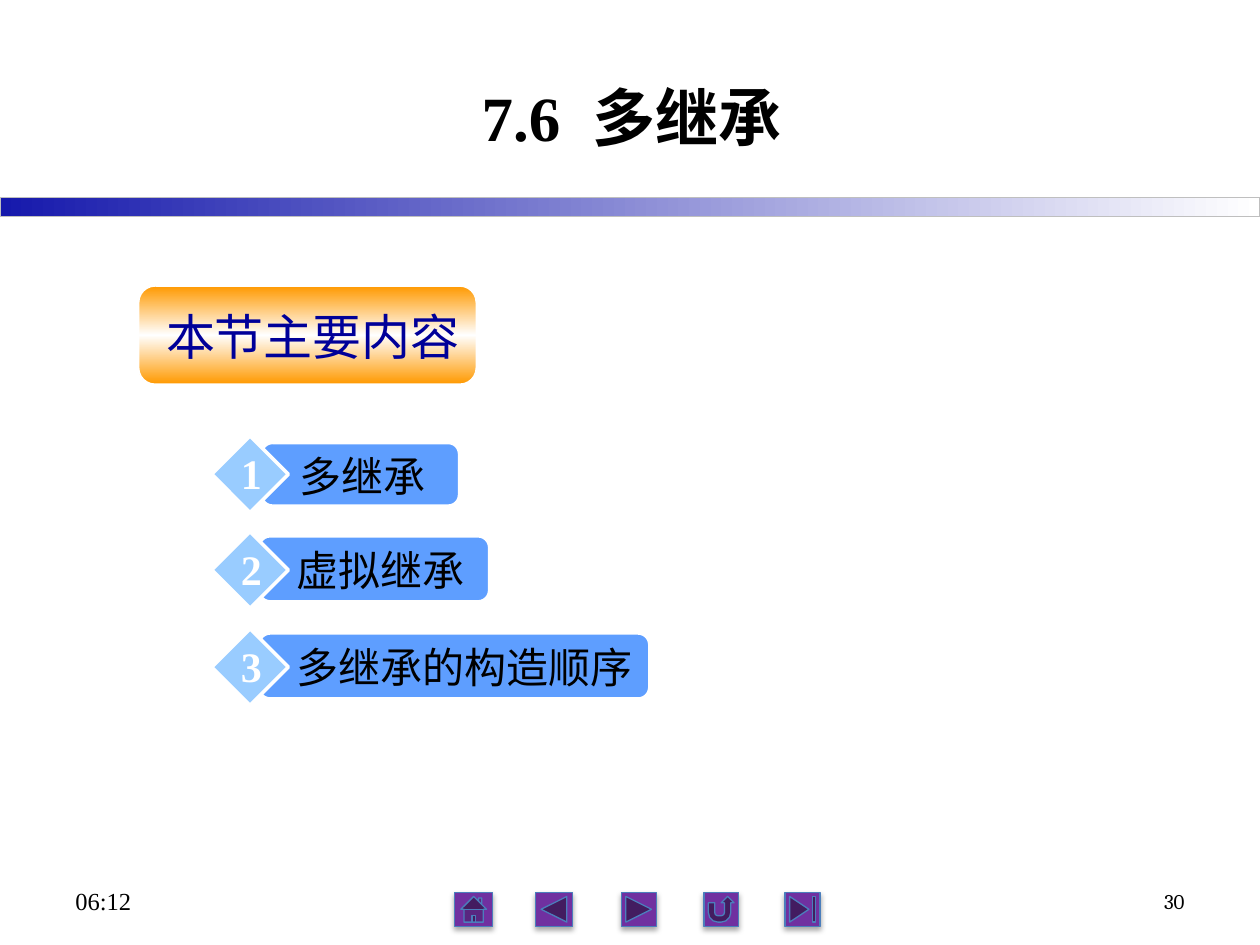
from copy import deepcopy
from dataclasses import dataclass

from lxml.etree import SubElement
from pptx import Presentation
from pptx.dml.color import RGBColor
from pptx.enum.shapes import MSO_SHAPE as Preset
from pptx.enum.text import MSO_ANCHOR as Anchor, PP_ALIGN as Align
from pptx.oxml.ns import qn
from pptx.util import Pt

SERIF = "Times New Roman"
CJK = "Noto Sans CJK SC"


@dataclass
class Topic:
    number: str
    title: str
    bar_left: float
    bar_top: float
    bar_width: float
    bar_height: float
    diamond_top: float


@dataclass
class NavButton:
    preset: Preset
    left: float
    width: float


TOPICS = [
    Topic("1", "多继承", 149.8, 253.4, 112.3, 35.3, 249.1),
    Topic("2", "虚拟继承", 148.3, 306.7, 131, 36.7, 303.8),
    Topic("3", "多继承的构造顺序", 148.3, 362.2, 222.5, 36.7, 359.3),
]
NAV_BUTTONS = [
    NavButton(Preset.ACTION_BUTTON_HOME, 259.9, 21.6),
    NavButton(Preset.ACTION_BUTTON_BACK_OR_PREVIOUS, 306, 21.2),
    NavButton(Preset.ACTION_BUTTON_FORWARD_OR_NEXT, 355, 20),
    NavButton(Preset.ACTION_BUTTON_RETURN, 402.2, 19.8),
    NavButton(Preset.ACTION_BUTTON_END, 448.6, 20),
]


def color(value: str) -> RGBColor:
    return RGBColor.from_string(value)


def add_span(para, text: str, size: float, font: str, ink: str = "000000", bold: bool = False):
    span = para.add_run()
    span.text = text
    span.font.size = Pt(size)
    span.font.name = font
    span.font.bold = bold
    span.font.color.rgb = color(ink)
    SubElement(span.font._element, qn("a:ea")).set("typeface", CJK)


def add_text(page, left: float, top: float, width: float, height: float, text: str,
             size: float, font: str = SERIF, ink: str = "000000", bold: bool = False,
             align=Align.LEFT, anchor=Anchor.TOP, wrap: bool = True):
    box = page.shapes.add_textbox(Pt(left), Pt(top), Pt(width), Pt(height))
    frame = box.text_frame
    frame.word_wrap = wrap
    frame.vertical_anchor = anchor
    para = frame.paragraphs[0]
    para.alignment = align
    add_span(para, text, size, font, ink, bold)


def add_box(page, preset, left: float, top: float, width: float, height: float,
            fills: list[str], line: str, weight: float, angle: float = 0):
    """Draw a preset shape; several fills make an evenly spaced gradient."""
    box = page.shapes.add_shape(preset, Pt(left), Pt(top), Pt(width), Pt(height))
    box.shadow.inherit = False
    box.line.color.rgb = color(line)
    box.line.width = Pt(weight)
    if len(fills) == 1:
        box.fill.solid()
        box.fill.fore_color.rgb = color(fills[0])
        return box
    box.fill.gradient()
    box.fill.gradient_angle = angle
    stop_list = box._element.spPr.find(qn("a:gradFill")).find(qn("a:gsLst"))
    for _ in fills[2:]:
        stop_list.append(deepcopy(stop_list[-1]))
    for index, (stop, value) in enumerate(zip(box.fill.gradient_stops, fills)):
        stop.color.rgb = color(value)
        stop.position = index / (len(fills) - 1)
    return box


def add_shadow(box):
    effects = box._element.spPr.find(qn("a:effectLst"))
    shadow = SubElement(effects, qn("a:outerShdw"), blurRad=str(Pt(3.1)),
                        dist=str(Pt(1.8)), dir="5400000", rotWithShape="0")
    shade = SubElement(shadow, qn("a:srgbClr"), val="000000")
    SubElement(shade, qn("a:alpha"), val="35000")


def add_topic(page, topic: Topic):
    add_box(page, Preset.ROUNDED_RECTANGLE, topic.bar_left, topic.bar_top,
            topic.bar_width, topic.bar_height, ["5E9EFF"], "FFFFFF", 1)
    add_box(page, Preset.DIAMOND, 121, topic.diamond_top, 43.8, 43.8,
            ["99CCFF"], "FFFFFF", 2)
    label_left = topic.bar_left + 14.2
    add_text(page, label_left, topic.bar_top + 0.7, topic.bar_width - 15, 36,
             topic.title, 24)
    add_text(page, 130.3, topic.diamond_top + 3, 26.6, 36, topic.number, 24,
             ink="FFFFFF", bold=True, align=Align.CENTER, wrap=False)


deck = Presentation()
deck.slide_width, deck.slide_height = Pt(720), Pt(540)
page = deck.slides.add_slide(deck.slide_layouts[5])

# Title and the band below it
title = page.shapes.title
title.left, title.top, title.width, title.height = Pt(80), Pt(21.6), Pt(561.6), Pt(90)
title.text_frame.vertical_anchor = Anchor.MIDDLE
heading = title.text_frame.paragraphs[0]
heading.alignment = Align.CENTER
add_span(heading, "7.6  ", 36, SERIF, bold=True)
add_span(heading, "多继承", 36, CJK, bold=True)
add_box(page, Preset.RECTANGLE, 0, 113, 720, 10.8, ["1619AC", "FFFFFF"], "BFBFBF", 0.75)

# Section banner
add_box(page, Preset.ROUNDED_RECTANGLE, 79.2, 163.4, 193, 56.2,
        ["FF9900", "FFFFFF", "FF9900"], "FFFFFF", 1, angle=90)
add_text(page, 87.8, 171.4, 184.4, 41, "本节主要内容", 28, "Arial", "000099")

# Numbered topics
for topic in TOPICS:
    add_topic(page, topic)

# Footer: time, navigation buttons, page number
add_text(page, 36, 500.4, 167.8, 28.8, "06:12", 14, anchor=Anchor.MIDDLE)
for button in NAV_BUTTONS:
    add_shadow(add_box(page, button.preset, button.left, 509.8, button.width, 19.6,
                       ["7030A0"], "4B7EBC", 0.75))
add_text(page, 516.2, 500.4, 167.8, 28.8, "30", 12, "Cambria",
         align=Align.RIGHT, anchor=Anchor.MIDDLE)

deck.save("out.pptx")
